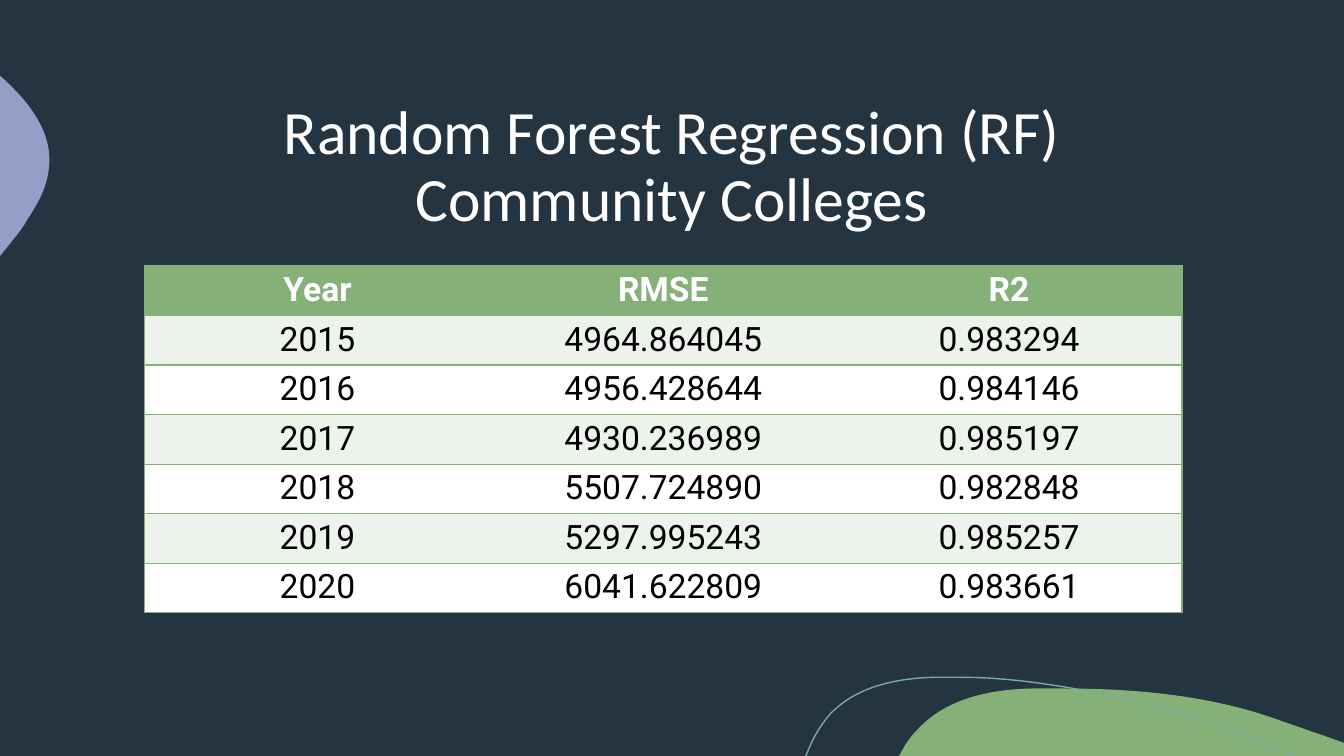
import pptx
import pptx.dml.color
import pptx.enum.text
import pptx.oxml.ns
import pptx.util
from lxml import etree

Pt = pptx.util.Pt
RGBColor = pptx.dml.color.RGBColor
PP_ALIGN = pptx.enum.text.PP_ALIGN
MSO_ANCHOR = pptx.enum.text.MSO_ANCHOR
qn = pptx.oxml.ns.qn

NAVY = RGBColor(0x24, 0x34, 0x41)
GREEN = RGBColor(0x85, 0xB0, 0x78)
LILAC = RGBColor(0x96, 0x9D, 0xC6)
TEAL = RGBColor(0x76, 0xAD, 0x98)
PALE_GREEN = RGBColor(0xED, 0xF2, 0xEC)
WHITE = RGBColor(0xFF, 0xFF, 0xFF)
BLACK = RGBColor(0x00, 0x00, 0x00)

PLAIN_TABLE_STYLE = "{2D5ABB26-0587-4C30-8999-92F81FD0307C}"

GREEN_HILL = [
    [(759, 491.8)],
    [(812.2, 491.8), (866.9, 496.8), (916.6, 515.5)],
    [(925.9, 518.4), (934.6, 522), (943.9, 524.9)],
    [(960, 530.6)],
    [(960, 540)],
    [(642.2, 540)],
    [(646.6, 532.1)],
    [(649.4, 527.8), (652.3, 524.2), (655.9, 520.6)],
    [(676.1, 499), (707, 492.5), (736.6, 491.8)],
    [(743.8, 491.8), (751, 491.8), (759, 491.8)],
]
LILAC_BLOB = [
    [(0, 54)],
    [(0.7, 54.7)],
    [(21.6, 73.4), (38.9, 95.8), (34.6, 122.4)],
    [(33.1, 134.6), (26.6, 146.2), (19.4, 157)],
    [(17.3, 161.3), (12.2, 167.8), (5.8, 175.7)],
    [(0, 182.9)],
]
TEAL_ARC = [
    [(575.3, 540)],
    [(576, 539.3)],
    [(580.3, 527.8), (586.1, 517.7), (593.3, 509.8)],
    [(612, 490.3), (640.1, 484.6), (666.7, 483.8)],
    [(687.6, 483.8)],
    [(735.8, 483.8), (792, 496.1), (831.6, 505.4)],
    [(870.5, 514.8), (882.7, 523.4), (923.8, 540)],
]

TITLE_LINES = ["Random Forest Regression (RF)", "Community Colleges"]
SCORES = [
    ("Year", "RMSE", "R2"),
    ("2015", "4964.864045", "0.983294"),
    ("2016", "4956.428644", "0.984146"),
    ("2017", "4930.236989", "0.985197"),
    ("2018", "5507.724890", "0.982848"),
    ("2019", "5297.995243", "0.985257"),
    ("2020", "6041.622809", "0.983661"),
]


def bend_segments(outline, segments):
    geometry = next(outline._element.iter(qn("a:path")))
    for straight, segment in zip(geometry.findall(qn("a:lnTo")), segments[1:]):
        if len(segment) == 3:
            curve = etree.Element(qn("a:cubicBezTo"))
            for x, y in segment:
                etree.SubElement(
                    curve, qn("a:pt"),
                    x=str(Pt(x) - outline.left), y=str(Pt(y) - outline.top),
                )
            geometry.replace(straight, curve)


def add_outline(slide, segments, fill=None, line=None):
    ends = [(Pt(x), Pt(y)) for x, y in (segment[-1] for segment in segments)]
    builder = slide.shapes.build_freeform(*ends[0])
    builder.add_line_segments(ends[1:], close=fill is not None)
    outline = builder.convert_to_shape()
    bend_segments(outline, segments)
    outline.shadow.inherit = False
    if fill is None:
        outline.fill.background()
    else:
        outline.fill.solid()
        outline.fill.fore_color.rgb = fill
    if line is None:
        outline.line.fill.background()
    else:
        outline.line.color.rgb = line
        outline.line.width = Pt(1)


def add_centred_run(paragraph, text, font_name, size, color, bold=False):
    paragraph.alignment = PP_ALIGN.CENTER
    run = paragraph.add_run()
    run.text = text
    run.font.name = font_name
    run.font.size = Pt(size)
    run.font.bold = bold
    run.font.color.rgb = color


def add_title(slide):
    title = slide.shapes.add_textbox(Pt(60), Pt(60), Pt(840), Pt(120)).text_frame
    title.word_wrap = True
    title.vertical_anchor = MSO_ANCHOR.MIDDLE
    for index, text in enumerate(TITLE_LINES):
        paragraph = title.add_paragraph() if index else title.paragraphs[0]
        paragraph.line_spacing = 0.9
        add_centred_run(paragraph, text, "Calibri", 44, WHITE)


def set_borders(cell, visible_sides):
    properties = cell._tc.get_or_add_tcPr()
    for side in "LRTB":
        border = etree.SubElement(properties, qn(f"a:ln{side}"), w=str(Pt(1)))
        if side in visible_sides:
            fill = etree.SubElement(border, qn("a:solidFill"))
            etree.SubElement(fill, qn("a:srgbClr"), val=str(GREEN))
        else:
            etree.SubElement(border, qn("a:noFill"))


def add_score_table(slide):
    row_count, column_count = len(SCORES), len(SCORES[0])
    scores = slide.shapes.add_table(
        row_count, column_count, Pt(103.3), Pt(190), Pt(741), Pt(35.4 * row_count)
    ).table
    scores.horz_banding = False
    scores._tbl.tblPr.find(qn("a:tableStyleId")).text = PLAIN_TABLE_STYLE
    for row, values in enumerate(SCORES):
        header = row == 0
        band = GREEN if header else PALE_GREEN if row % 2 else WHITE
        for column, value in enumerate(values):
            cell = scores.cell(row, column)
            sides = "TB" + "L" * (column == 0) + "R" * (column == column_count - 1)
            set_borders(cell, sides)
            cell.margin_top = cell.margin_bottom = Pt(3.2)
            cell.fill.solid()
            cell.fill.fore_color.rgb = band
            add_centred_run(
                cell.text_frame.paragraphs[0], value, "Roboto", 24,
                WHITE if header else BLACK, bold=header,
            )


def main():
    presentation = pptx.Presentation()
    presentation.slide_width = Pt(960)
    presentation.slide_height = Pt(540)
    slide = presentation.slides.add_slide(presentation.slide_layouts[6])
    slide.background.fill.solid()
    slide.background.fill.fore_color.rgb = NAVY
    add_outline(slide, GREEN_HILL, fill=GREEN)
    add_outline(slide, LILAC_BLOB, fill=LILAC)
    add_outline(slide, TEAL_ARC, line=TEAL)
    add_title(slide)
    add_score_table(slide)
    presentation.save("out.pptx")


if __name__ == "__main__":
    main()
